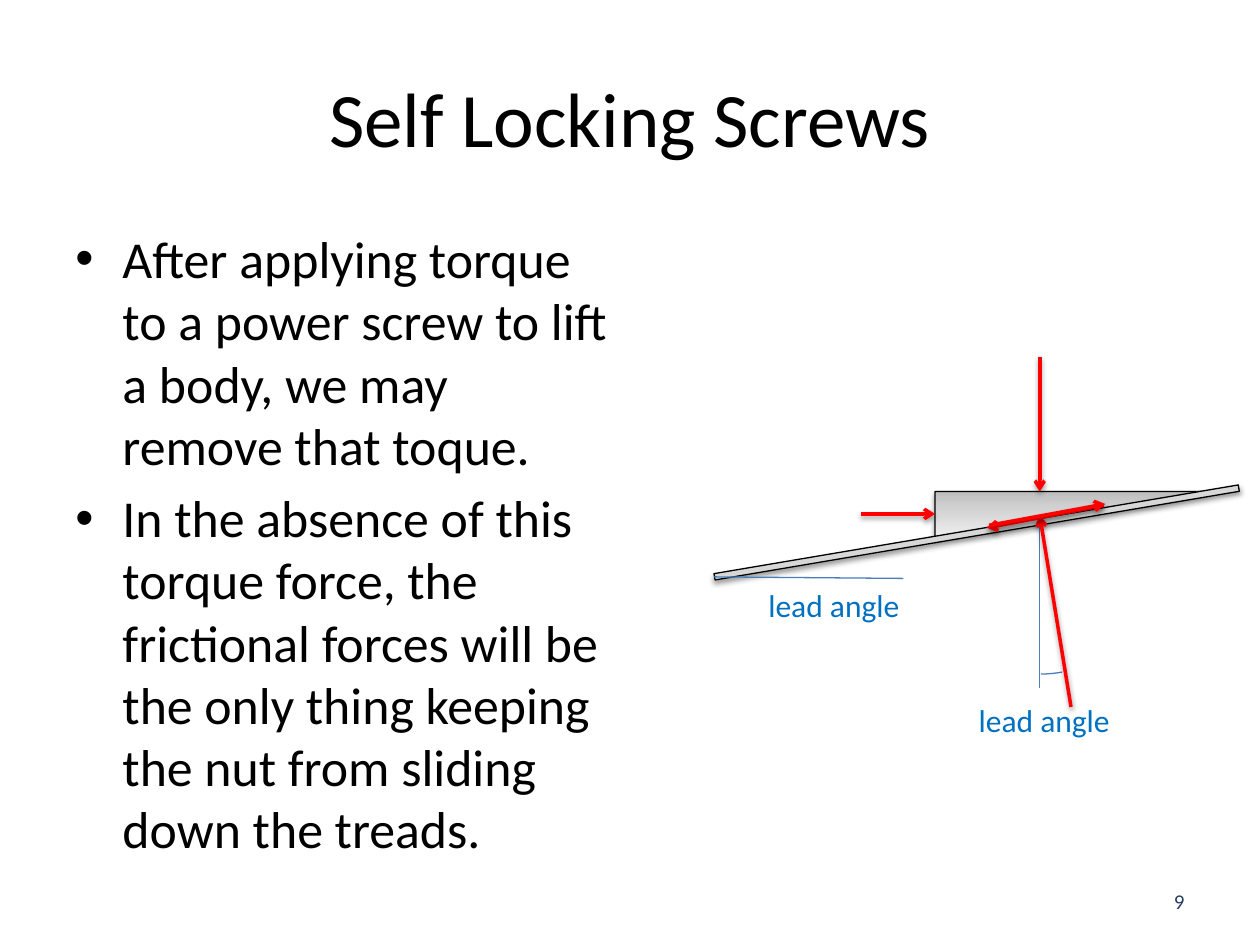
from lxml import etree
from pptx import Presentation
from pptx.dml.color import RGBColor
from pptx.enum.shapes import MSO_CONNECTOR, MSO_SHAPE
from pptx.enum.text import MSO_ANCHOR, PP_ALIGN
from pptx.oxml.ns import qn
from pptx.util import Cm, Pt

STRAIGHT = MSO_CONNECTOR.STRAIGHT
ARC, RECTANGLE, TRIANGLE = MSO_SHAPE.ARC, MSO_SHAPE.RECTANGLE, MSO_SHAPE.ISOSCELES_TRIANGLE
TOP, MIDDLE = MSO_ANCHOR.TOP, MSO_ANCHOR.MIDDLE
LEFT, CENTER, RIGHT = PP_ALIGN.LEFT, PP_ALIGN.CENTER, PP_ALIGN.RIGHT

FONT = "Calibri"
BLACK, NAVY, LABEL_BLUE = "000000", "254061", "0070C0"
FORCE_RED, GUIDE_BLUE = "FF0000", "4B7EBC"
METAL_STOPS = [(0, "BDBDBD"), (35, "D1D1D1"), (100, "EEEEEE")]

BULLETS = [
    "After applying torque to a power screw to lift a body, we may remove that toque.",
    "In the absence of this torque force, the frictional forces will be "
    "the only thing keeping the nut from sliding down the treads.",
]


def color(hex_value):
    """Return the colour for a hex string."""
    return RGBColor.from_string(hex_value)


def add_element(parent, tag, **attributes):
    """Append a drawing element to a parent and return it."""
    values = {name: str(value) for name, value in attributes.items()}
    return etree.SubElement(parent, qn(tag), values)


def add_text(slide, box, lines, size, hex_value, align=LEFT, anchor=TOP, wrap=True):
    """Add a text box with one paragraph per line and return its paragraphs."""
    frame = slide.shapes.add_textbox(*(Cm(value) for value in box)).text_frame
    frame.word_wrap = wrap
    frame.vertical_anchor = anchor
    for index, line in enumerate(lines):
        paragraph = frame.add_paragraph() if index else frame.paragraphs[0]
        paragraph.alignment = align
        run = paragraph.add_run()
        run.text = line
        run.font.name = FONT
        run.font.size = Pt(size)
        run.font.color.rgb = color(hex_value)
    return frame.paragraphs


def set_effects(shape, shadow):
    """Give a shape a soft drop shadow, or no effect at all."""
    effects = add_element(shape._element.spPr, "a:effectLst")
    if shadow:
        outer = add_element(effects, "a:outerShdw", blurRad=Pt(3.1), dist=Pt(1.6),
                            dir=5400000, rotWithShape=0)
        black = add_element(outer, "a:srgbClr", val=BLACK)
        add_element(black, "a:alpha", val=38000)


def set_line(shape, hex_value, width):
    """Set the outline colour and width in points."""
    shape.line.color.rgb = color(hex_value)
    shape.line.width = Pt(width)


def add_metal_shape(slide, kind, left, top, width, height, rotation):
    """Add a grey gradient shape with a black outline and a shadow."""
    shape = slide.shapes.add_shape(kind, Cm(left), Cm(top), Cm(width), Cm(height))
    shape.rotation = rotation
    shape.fill.gradient()
    shape.fill.gradient_angle = 90
    stops = shape._element.spPr.find(".//" + qn("a:gsLst"))
    for stop in list(stops):
        stops.remove(stop)
    for position, hex_value in METAL_STOPS:
        stop = add_element(stops, "a:gs", pos=position * 1000)
        add_element(stop, "a:srgbClr", val=hex_value)
    set_line(shape, BLACK, 0.75)
    set_effects(shape, shadow=True)
    return shape


def add_line(slide, origin, start, end, force):
    """Add a red force arrow or a thin blue guide between two points."""
    points = [Cm(base + offset) for point in (start, end) for base, offset in zip(origin, point)]
    connector = slide.shapes.add_connector(STRAIGHT, *points)
    set_line(connector, FORCE_RED if force else GUIDE_BLUE, 2 if force else 0.75)
    if force:
        add_element(connector.line._get_or_add_ln(), "a:tailEnd", type="arrow")
    set_effects(connector, shadow=force)


def add_angle_arc(slide, left, top, diameter, start, end):
    """Add the arc that marks an angle between two directions in degrees."""
    arc = slide.shapes.add_shape(ARC, Cm(left), Cm(top), Cm(diameter), Cm(diameter))
    arc.rotation = 90
    arc.adjustments[0] = start * 0.6
    arc.adjustments[1] = end * 0.6
    arc.fill.background()
    set_line(arc, GUIDE_BLUE, 0.75)
    set_effects(arc, shadow=False)


def add_title(slide, box):
    """Add the centred slide title."""
    add_text(slide, box, ["Self Locking Screws"], 44, BLACK, CENTER, MIDDLE)


def add_bullets(slide, box):
    """Add the bulleted explanation."""
    for index, paragraph in enumerate(add_text(slide, box, BULLETS, 29.6, BLACK)):
        properties = paragraph._p.get_or_add_pPr()
        properties.set("marL", str(Cm(0.95)))
        properties.set("indent", str(-Cm(0.95)))
        add_element(properties, "a:buFont", typeface="Arial")
        add_element(properties, "a:buChar", char="•")
        if index:
            paragraph.space_before = Pt(6)


def add_force_diagram(slide, left, top):
    """Add the nut on its inclined thread with the forces acting on it."""
    origin = (left, top)
    axis = 6.66
    nut = add_metal_shape(slide, TRIANGLE, left + 4.55, top + 2.71, 5.51, 0.91, 180)
    nut.adjustments[0] = 0
    nut._element.spPr.find(qn("a:xfrm")).set("flipH", "1")
    add_metal_shape(slide, RECTANGLE, left + 0.03, top + 3.47, 10.72, 0.13, 350.4)
    forces = [
        ((3.05, 3.16), (4.55, 3.16)),
        ((axis, 0), (axis, 2.71)),
        ((7.29, 7.05), (axis, 3.19)),
        ((7.95, 2.99), (5.59, 3.44)),
        ((5.64, 3.39), (7.98, 2.96)),
    ]
    guides = [((0.1, 4.43), (3.91, 4.46)), ((axis, 3.26), (axis, 6.67))]
    for start, end in guides:
        add_line(slide, origin, start, end, force=False)
    add_angle_arc(slide, left + axis - 2.54, top + 1.31, 5.08, 349.75, 359.46)
    for start, end in forces:
        add_line(slide, origin, start, end, force=True)
    for x, y in [(0.94, 4.48), (5.18, 6.8)]:
        add_text(slide, (left + x, top + y, 3.2, 1.02), ["lead angle"], 18,
                 LABEL_BLUE, wrap=False)


def add_slide_number(slide, box):
    """Add the page number at the lower right."""
    add_text(slide, box, ["9"], 12, NAVY, RIGHT, MIDDLE)


def main():
    """Build and save the presentation."""
    presentation = Presentation()
    presentation.slide_width = Cm(25.4)
    presentation.slide_height = Cm(19.05)
    slide = presentation.slides.add_slide(presentation.slide_layouts[6])
    add_title(slide, (1.27, 0.76, 22.86, 3.18))
    add_bullets(slide, (1.27, 4.45, 11.43, 12.57))
    add_slide_number(slide, (18.21, 17.65, 5.92, 1.02))
    add_force_diagram(slide, 14.3, 7.2)
    presentation.save("out.pptx")


if __name__ == "__main__":
    main()
